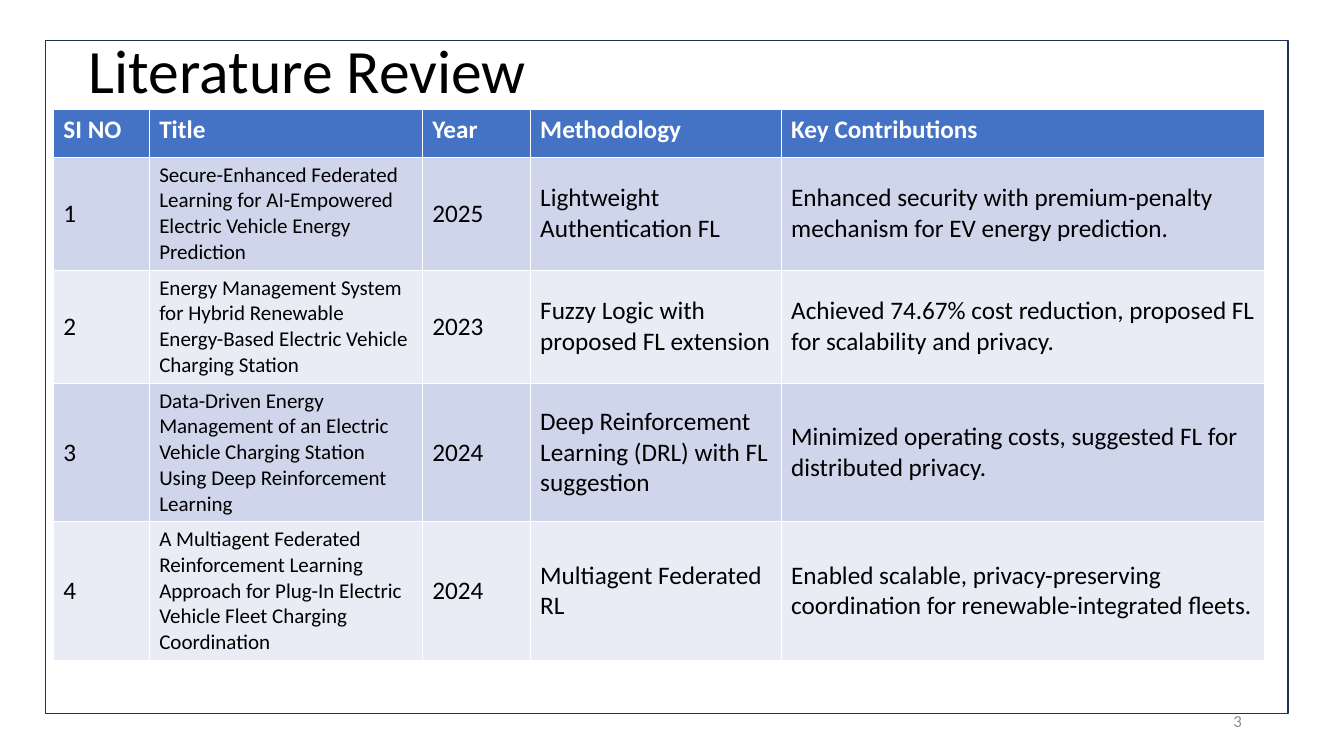
import pptx
import pptx.util
import pptx.dml.color
import pptx.enum.shapes
import pptx.enum.text

Pt = pptx.util.Pt
ALIGN = pptx.enum.text.PP_ALIGN
ANCHOR = pptx.enum.text.MSO_ANCHOR

COLORS = {
    "text": "000000",
    "header_text": "FFFFFF",
    "number": "8C8C8C",
    "header": "4472C4",
    "odd": "CFD5EA",
    "even": "E9EBF5",
    "frame": "1E3256",
}
COL_WIDTHS = [68.4, 195.12, 77.04, 179.28, 345.6]
ROW_HEIGHTS = [33.84, 80.7, 80.7, 99, 99]
ROWS = [
    ("SI NO", "Title", "Year", "Methodology", "Key Contributions"),
    ("1",
     "Secure-Enhanced Federated Learning for AI-Empowered Electric Vehicle Energy Prediction",
     "2025", "Lightweight Authentication FL",
     "Enhanced security with premium-penalty mechanism for EV energy prediction."),
    ("2",
     "Energy Management System for Hybrid Renewable Energy-Based Electric Vehicle Charging Station",
     "2023", "Fuzzy Logic with proposed FL extension",
     "Achieved 74.67% cost reduction, proposed FL for scalability and privacy."),
    ("3",
     "Data-Driven Energy Management of an Electric Vehicle Charging Station "
     "Using Deep Reinforcement Learning",
     "2024", "Deep Reinforcement Learning (DRL) with FL suggestion",
     "Minimized operating costs, suggested FL for distributed privacy."),
    ("4",
     "A Multiagent Federated Reinforcement Learning Approach for Plug-In Electric "
     "Vehicle Fleet Charging Coordination",
     "2024", "Multiagent Federated RL",
     "Enabled scalable, privacy-preserving coordination for renewable-integrated fleets."),
]


def rgb(name):
    return pptx.dml.color.RGBColor.from_string(COLORS[name])


def write(tf, text, size=18, color="text", bold=False, align=ALIGN.LEFT, spacing=None):
    p = tf.paragraphs[0]
    p.alignment = align
    if spacing:
        p.line_spacing = spacing
    r = p.add_run()
    r.text = text
    r.font.name = "Calibri"
    r.font.size = Pt(size)
    r.font.bold = bold
    r.font.color.rgb = rgb(color)


class Deck:
    def __init__(self, width, height):
        self.prs = pptx.Presentation()
        self.prs.slide_width, self.prs.slide_height = Pt(width), Pt(height)
        self.s = None

    def add_slide(self):
        self.s = self.prs.slides.add_slide(self.prs.slide_layouts[5])

    def title(self, text, x, y, w, h):
        sp = self.s.shapes.title
        sp.left, sp.top, sp.width, sp.height = Pt(x), Pt(y), Pt(w), Pt(h)
        tf = sp.text_frame
        tf.auto_size = pptx.enum.text.MSO_AUTO_SIZE.NONE
        tf.vertical_anchor = ANCHOR.MIDDLE
        write(tf, text, size=44, spacing=0.9)

    def label(self, text, x, y, w, h, **fmt):
        tf = self.s.shapes.add_textbox(Pt(x), Pt(y), Pt(w), Pt(h)).text_frame
        tf.word_wrap = True
        tf.vertical_anchor = ANCHOR.MIDDLE
        write(tf, text, **fmt)

    def table(self, rows, x, y, widths, heights):
        table = self.s.shapes.add_table(
            len(rows), len(widths), Pt(x), Pt(y), Pt(sum(widths)), Pt(sum(heights))).table
        for col, w in zip(table.columns, widths):
            col.width = Pt(w)
        for i, (row, h) in enumerate(zip(rows, heights)):
            table.rows[i].height = Pt(h)
            for j, text in enumerate(row):
                cell = table.cell(i, j)
                cell.fill.solid()
                if i == 0:
                    cell.fill.fore_color.rgb = rgb("header")
                    write(cell.text_frame, text, color="header_text", bold=True)
                else:
                    cell.fill.fore_color.rgb = rgb("odd" if i % 2 else "even")
                    cell.vertical_anchor = ANCHOR.MIDDLE
                    write(cell.text_frame, text, size=15 if j == 1 else 18)

    def frame(self, x, y, w, h):
        sp = self.s.shapes.add_shape(
            pptx.enum.shapes.MSO_SHAPE.RECTANGLE, Pt(x), Pt(y), Pt(w), Pt(h))
        sp.shadow.inherit = False
        sp.fill.background()
        sp.line.color.rgb = rgb("frame")
        sp.line.width = Pt(1)


def main():
    deck = Deck(960, 540)
    deck.add_slide()

    # Title and page number
    deck.title("Literature Review", 56.16, 0, 828, 104.4)
    deck.label("3", 678.24, 500.4, 216, 28.8, size=12, color="number", align=ALIGN.RIGHT)

    # Reviewed papers
    deck.table(ROWS, 38.16, 78.48, COL_WIDTHS, ROW_HEIGHTS)

    # Page frame
    deck.frame(32.4, 28.8, 887.76, 480.96)

    deck.prs.save("out.pptx")


if __name__ == "__main__":
    main()
